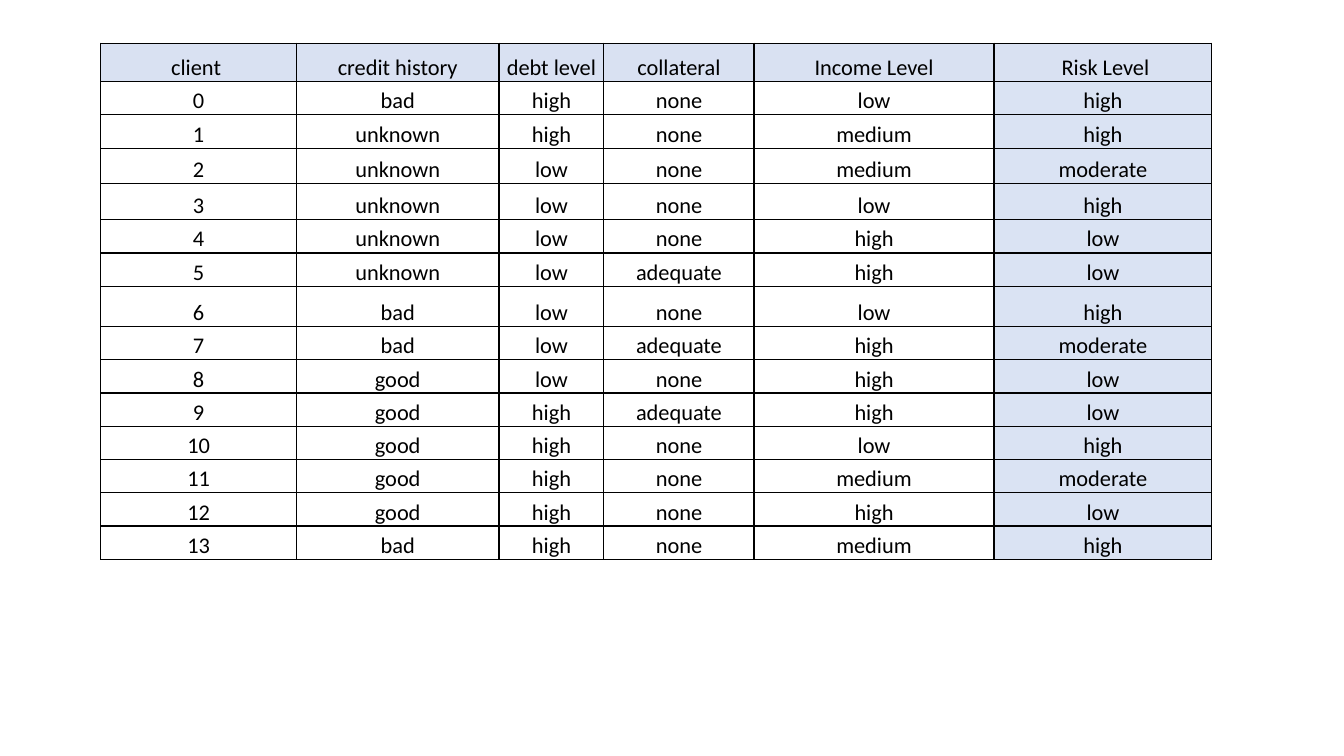
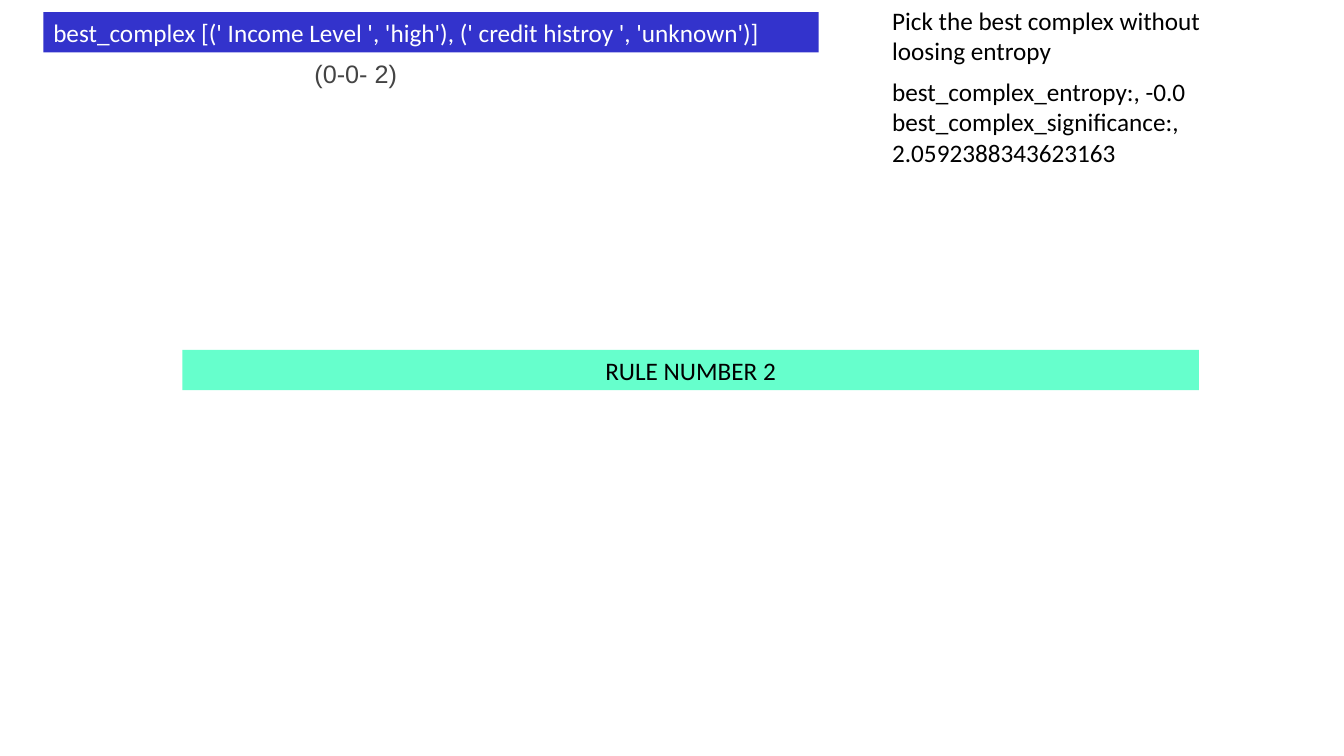
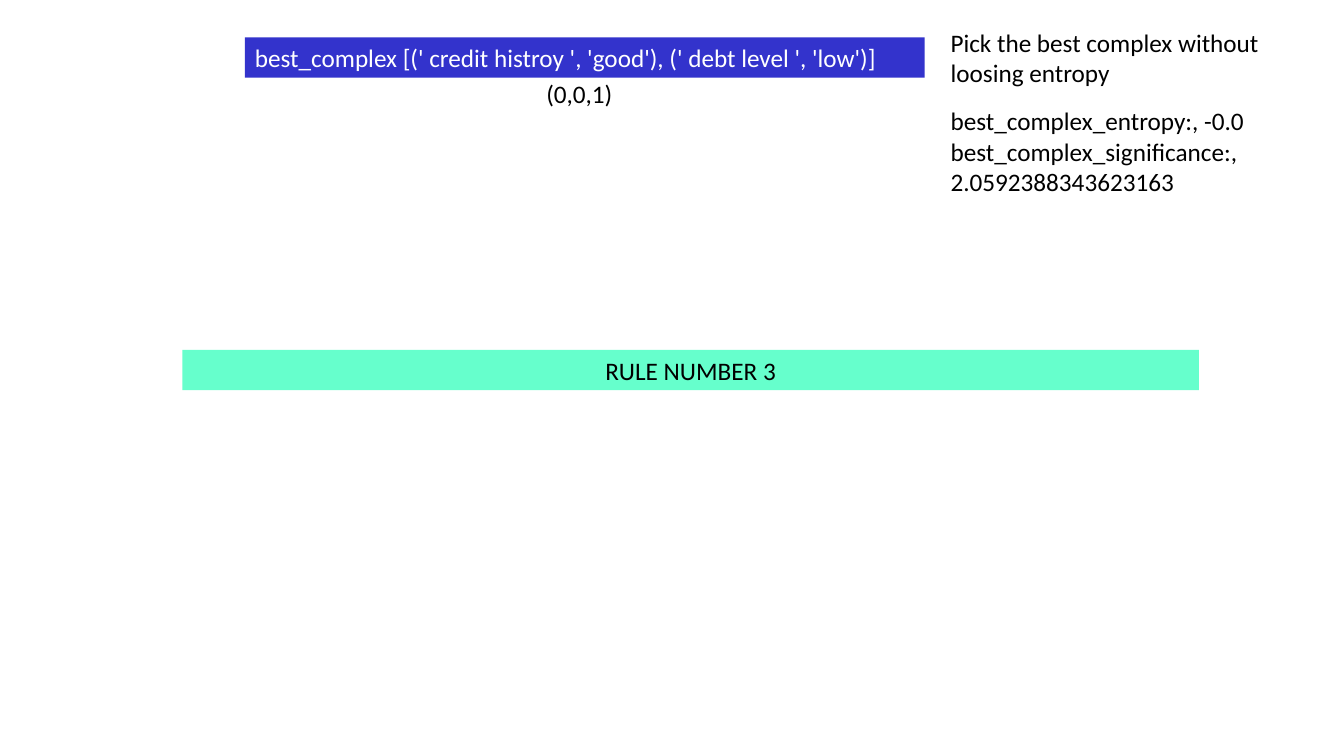
from pptx import Presentation
from pptx.dml.color import RGBColor
from pptx.enum.text import MSO_ANCHOR, MSO_AUTO_SIZE, PP_ALIGN
from pptx.oxml import parse_xml
from pptx.oxml.ns import nsdecls
from pptx.util import Inches, Pt

LEFT, CENTER = PP_ALIGN.LEFT, PP_ALIGN.CENTER
TOP, BOTTOM = MSO_ANCHOR.TOP, MSO_ANCHOR.BOTTOM
NO_AUTOFIT = MSO_AUTO_SIZE.NONE
TITLE_ONLY_LAYOUT, BLANK_LAYOUT = 5, 6

BLACK, WHITE, GRAY = "000000", "FFFFFF", "444444"
COMPLEX_BLUE, RULE_GREEN = "3333CC", "66FFCC"
HEADER_BLUE, RISK_BLUE = "D9E1F2", "DAE3F3"
BODY_FONT = "Calibri"
LINE_HEIGHT = 0.4
RULE_BOX = (1.81, 3.47, 10.08, LINE_HEIGHT)

COLUMN_WIDTHS = [1.94, 2.01, 1.04, 1.49, 2.38, 2.16]
ROW_HEIGHT = 0.33
SPECIAL_ROW_HEIGHTS = {0: 0.38, 3: 0.35, 4: 0.36, 7: 0.4}
HEADERS = ["client ", " credit history ", " debt level ", " collateral ",
           " Income Level ", " Risk Level"]
CLIENTS = [
    "bad high none low high",
    "unknown high none medium high",
    "unknown low none medium moderate",
    "unknown low none low high",
    "unknown low none high low",
    "unknown low adequate high low",
    "bad low none low high",
    "bad low adequate high moderate",
    "good low none high low",
    "good high adequate high low",
    "good high none low high",
    "good high none medium moderate",
    "good high none high low",
    "bad high none medium high",
]


def color(value):
    return RGBColor.from_string(value)


def set_attributes(target, values):
    for name, value in values.items():
        setattr(target, name, value)


def write_lines(frame, lines, size=18, font=BODY_FONT, text_color=BLACK, align=LEFT):
    frame.text = "\n".join(lines)
    for paragraph in frame.paragraphs:
        paragraph.alignment = align
        set_attributes(paragraph.runs[0].font, {"size": Pt(size), "name": font})
        paragraph.runs[0].font.color.rgb = color(text_color)


def add_text(slide, box, lines, fill=None, **text_format):
    shape = slide.shapes.add_textbox(*map(Inches, box))
    if fill:
        shape.fill.solid()
        shape.fill.fore_color.rgb = color(fill)
    shape.text_frame.word_wrap = True
    write_lines(shape.text_frame, lines, **text_format)


def add_rule_title(slide, box, text):
    title = slide.shapes.title
    set_attributes(title, dict(zip(("left", "top", "width", "height"), map(Inches, box))))
    title.fill.solid()
    title.fill.fore_color.rgb = color(RULE_GREEN)
    set_attributes(title.text_frame, {"word_wrap": True, "auto_size": NO_AUTOFIT,
                                      "vertical_anchor": TOP})
    write_lines(title.text_frame, [text], align=CENTER)


def add_borders(cell):
    properties = cell._tc.get_or_add_tcPr()
    for position, side in enumerate(("lnL", "lnR", "lnT", "lnB")):
        properties.insert(position, parse_xml(
            f'<a:{side} {nsdecls("a")} w="{Pt(1)}"><a:solidFill>'
            f'<a:srgbClr val="{BLACK}"/></a:solidFill></a:{side}>'))


def format_cell(cell, text, fill):
    set_attributes(cell, {"vertical_anchor": BOTTOM, "margin_left": Inches(0.01),
                          "margin_right": Inches(0.01), "margin_top": Inches(0.01),
                          "margin_bottom": 0})
    cell.fill.solid()
    cell.fill.fore_color.rgb = color(fill)
    add_borders(cell)
    write_lines(cell.text_frame, [text], size=16, align=CENTER)


def add_client_table(slide, left, top):
    rows = [HEADERS] + [[str(number), *client.split()]
                        for number, client in enumerate(CLIENTS)]
    heights = [SPECIAL_ROW_HEIGHTS.get(index, ROW_HEIGHT) for index in range(len(rows))]
    box = (left, top, sum(COLUMN_WIDTHS), sum(heights))
    table = slide.shapes.add_table(len(rows), len(HEADERS), *map(Inches, box)).table
    for column, width in zip(table.columns, COLUMN_WIDTHS):
        column.width = Inches(width)
    risk_column = len(HEADERS) - 1
    for row_index, values in enumerate(rows):
        table.rows[row_index].height = Inches(heights[row_index])
        for column_index, text in enumerate(values):
            body_fill = RISK_BLUE if column_index == risk_column else WHITE
            fill = body_fill if row_index else HEADER_BLUE
            format_cell(table.cell(row_index, column_index), text, fill)


def add_selection_notes(slide, left, top, result_top, result_width):
    add_text(slide, (left, top, 3.46, 0.71),
             ["Pick the best complex without loosing entropy"])
    add_text(slide, (left, result_top, result_width, 1.01),
             ["best_complex_entropy:, -0.0",
              "best_complex_significance:, 2.0592388343623163"])


def add_rule_slide(presentation, number, complex_text, complex_box, counts, counts_box,
                   notes, **counts_format):
    slide = presentation.slides.add_slide(presentation.slide_layouts[TITLE_ONLY_LAYOUT])
    add_rule_title(slide, RULE_BOX, f"RULE NUMBER {number}")
    add_text(slide, complex_box, [f"best_complex {complex_text}"],
             fill=COMPLEX_BLUE, text_color=WHITE)
    add_text(slide, counts_box, [counts], **counts_format)
    add_selection_notes(slide, **notes)


presentation = Presentation()
set_attributes(presentation, {"slide_width": Inches(13.33), "slide_height": Inches(7.5)})

# Training data
data_slide = presentation.slides.add_slide(presentation.slide_layouts[BLANK_LAYOUT])
add_client_table(data_slide, 1, 0.43)

# Learned rules
add_rule_slide(
    presentation, 2, "[(' Income Level ', 'high'), (' credit histroy ', 'unknown')]",
    (0.43, 0.12, 7.69, LINE_HEIGHT), "(0-0- 2)", (3.02, 0.53, 1.1, LINE_HEIGHT),
    {"left": 8.75, "top": 0, "result_top": 0.71, "result_width": 4.23},
    font="Arial", text_color=GRAY)
add_rule_slide(
    presentation, 3, "[(' credit histroy ', 'good'), (' debt level ', 'low')]",
    (2.43, 0.37, 6.74, LINE_HEIGHT), "(0,0,1)", (5.32, 0.73, 0.97, LINE_HEIGHT),
    {"left": 9.33, "top": 0.22, "result_top": 1, "result_width": 4})

presentation.save("out.pptx")
